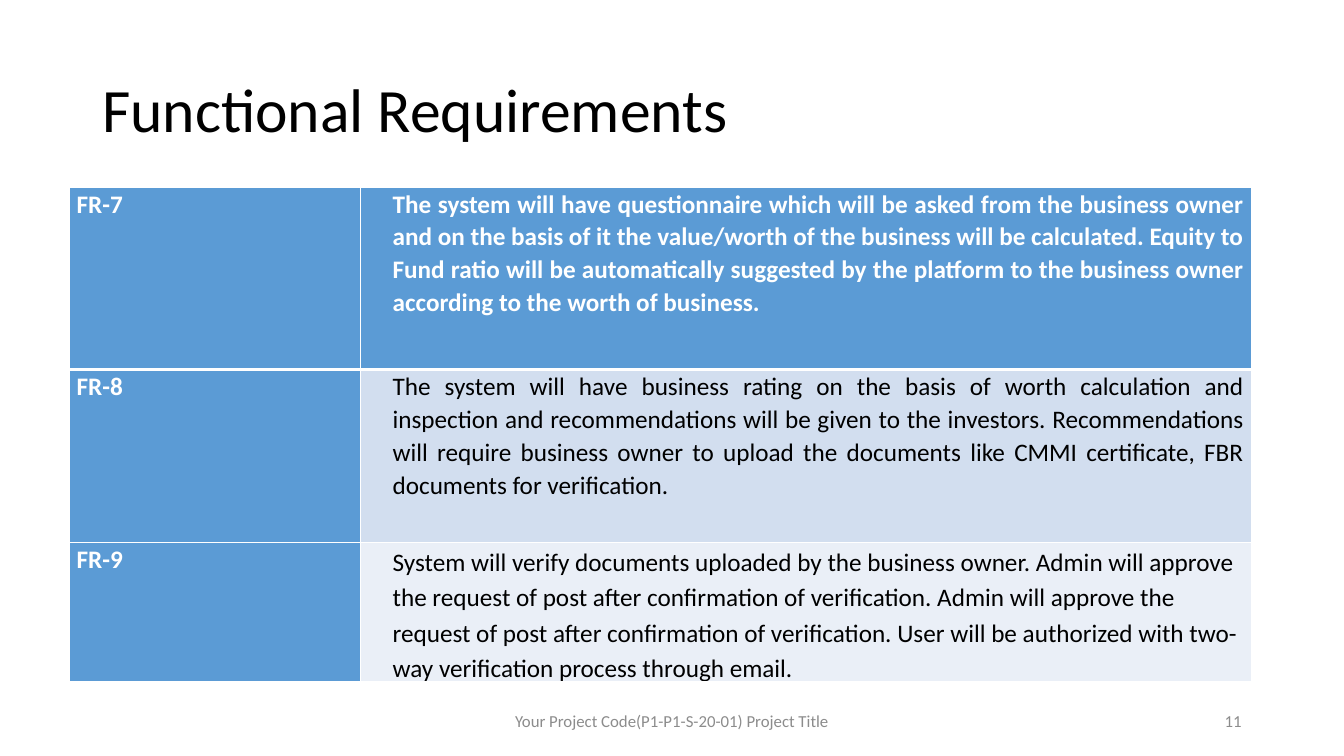
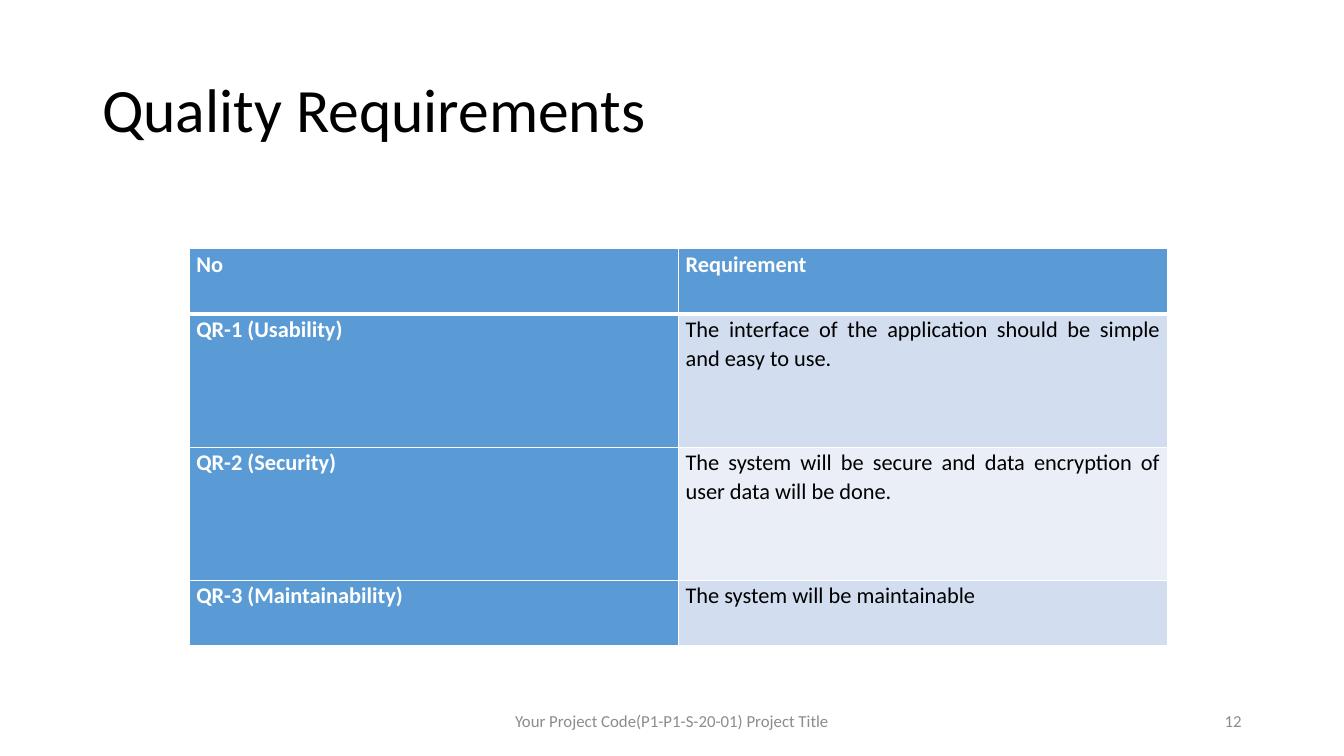
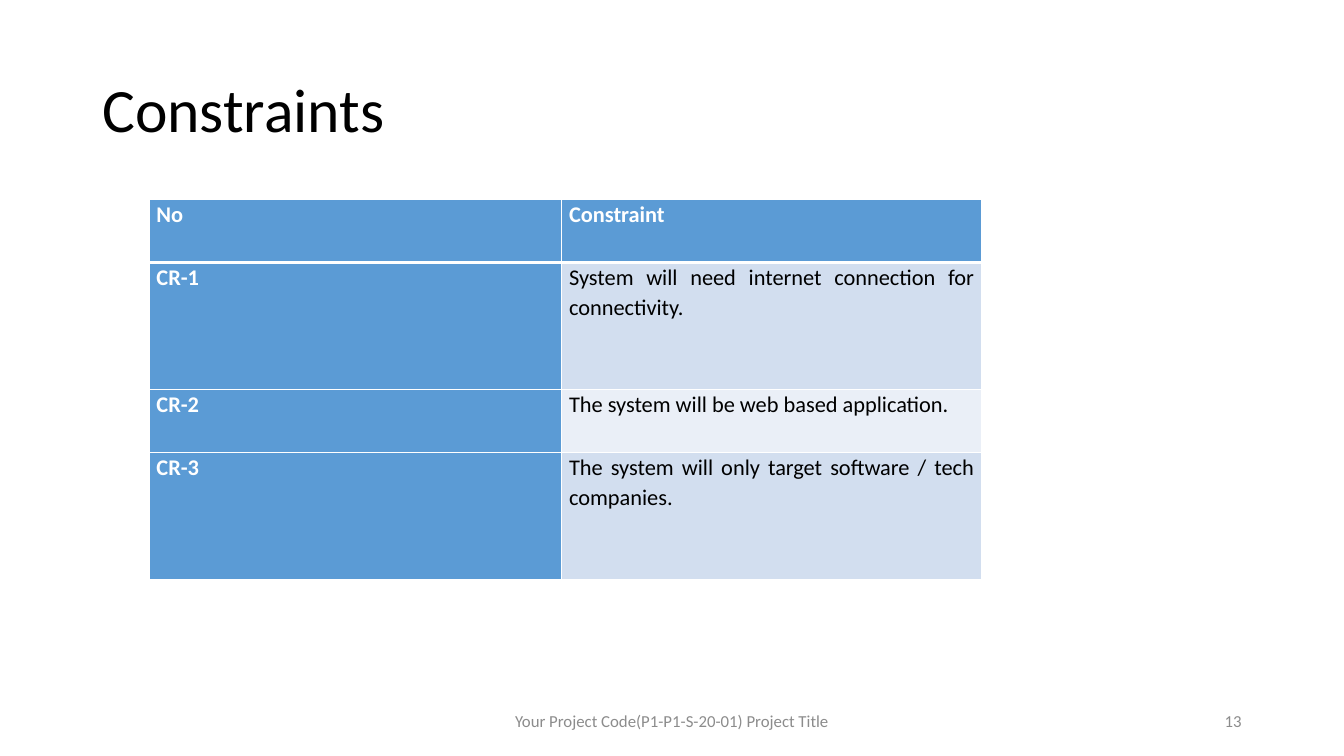
from lxml.etree import SubElement
from pptx import Presentation
from pptx.dml.color import RGBColor
from pptx.enum.text import MSO_ANCHOR, PP_ALIGN
from pptx.oxml.ns import qn
from pptx.util import Pt

EMU_PER_PX = 9525
FONT = "Calibri"
WHITE, BLACK, GREY, BLUE = "FFFFFF", "000000", "8C8C8C", "5B9BD5"
BANDS = ("D2DEEF", "EAEFF7")
FOOTER = "Your Project Code(P1-P1-S-20-01) Project Title"
TITLE_BOX = (88, 38, 1104, 139)
FOOTER_BOX = (424, 667, 432, 38)
NUMBER_BOX = (904, 667, 288, 38)
CELL_MARGIN = 7
TEXT_INDENT = 24

FUNCTIONAL_ROWS = [
    ("FR-7", "The system will have questionnaire which will be asked from the business owner "
             "and on the basis of it the value/worth of the business will be calculated. Equity "
             "to Fund ratio will be automatically suggested by the platform to the business "
             "owner according to the worth of business."),
    ("FR-8", "The system will have business rating on the basis of worth calculation and "
             "inspection and recommendations will be given to the investors. Recommendations "
             "will require business owner to upload the documents like CMMI certificate, FBR "
             "documents for verification."),
    ("FR-9", "System will verify documents uploaded by the business owner. Admin will approve "
             "the request of post after confirmation of verification. Admin will approve the "
             "request of post after confirmation of verification. User will be authorized with "
             "two-way verification process through email."),
]
QUALITY_ROWS = [
    ("No", "Requirement"),
    ("QR-1 (Usability)", "The interface of the application should be simple and easy to use."),
    ("QR-2 (Security)", "The system will be secure and data encryption of user data will be done."),
    ("QR-3 (Maintainability)", "The system will be maintainable"),
]
CONSTRAINT_ROWS = [
    ("No", "Constraint"),
    ("CR-1", "System will need internet connection for connectivity."),
    ("CR-2", "The system will be web based application."),
    ("CR-3", "The system will only target software / tech companies."),
]


def px(length):
    """Turn whole pixels into EMU."""
    return length * EMU_PER_PX


def color(value):
    """Turn a hex string into a colour."""
    return RGBColor.from_string(value)


def write(paragraph, text, size, ink, bold=False, align=PP_ALIGN.LEFT, spacing=1.0):
    """Add one styled run to a paragraph."""
    paragraph.alignment = align
    paragraph.line_spacing = spacing
    run = paragraph.add_run()
    run.text = text
    run.font.name = FONT
    run.font.size = Pt(size)
    run.font.bold = bold
    run.font.color.rgb = color(ink)


def add_text(slide, box, text, size, ink, **style):
    """Place a vertically centred line of text in a box."""
    frame = slide.shapes.add_textbox(*map(px, box)).text_frame
    frame.word_wrap = True
    frame.vertical_anchor = MSO_ANCHOR.MIDDLE
    write(frame.paragraphs[0], text, size, ink, **style)


def add_borders(cell, widths):
    """Draw white borders of the given point widths around a cell."""
    properties = cell._tc.get_or_add_tcPr()
    for side, width in zip("LRTB", widths):
        line = SubElement(properties, qn(f"a:ln{side}"), w=str(Pt(width)))
        fill = SubElement(line, qn("a:solidFill"))
        SubElement(fill, qn("a:srgbClr"), val=WHITE)


def add_requirements(slide, origin, columns, heights, rows, size, indent=0, last_loose=False):
    """Place a two-column table with a blue header row and first column."""
    frame = slide.shapes.add_table(
        len(rows), len(columns), *map(px, (*origin, sum(columns), sum(heights))))
    table = frame.table
    for column, width in zip(table.columns, columns):
        column.width = px(width)
    for index, (row, height, texts) in enumerate(zip(table.rows, heights, rows)):
        row.height = px(height)
        loose = last_loose and index == len(rows) - 1
        for position, (cell, text) in enumerate(zip(row.cells, texts)):
            strong = index == 0 or position == 0
            add_borders(cell, (1, 1, 3 if index == 1 else 1, 3 if index == 0 else 1))
            cell.fill.solid()
            cell.fill.fore_color.rgb = color(BLUE if strong else BANDS[(index - 1) % 2])
            cell.margin_left = px(CELL_MARGIN + indent * position)
            cell.margin_right = px(CELL_MARGIN)
            cell.margin_top = cell.margin_bottom = 0
            relaxed = loose and position == 1
            write(cell.text_frame.paragraphs[0], text, size, WHITE if strong else BLACK,
                  bold=strong, align=PP_ALIGN.LEFT if relaxed else PP_ALIGN.JUSTIFY,
                  spacing=1.15 if relaxed else 1.07)


def add_page(presentation, title, number):
    """Add a slide with its title, footer and number."""
    slide = presentation.slides.add_slide(presentation.slide_layouts[6])
    add_text(slide, TITLE_BOX, title, 44, BLACK, spacing=0.9)
    add_text(slide, FOOTER_BOX, FOOTER, 12, GREY, align=PP_ALIGN.CENTER)
    add_text(slide, NUMBER_BOX, str(number), 12, GREY, align=PP_ALIGN.RIGHT)
    return slide


def main():
    """Build the three slides and save them."""
    presentation = Presentation()
    presentation.slide_width, presentation.slide_height = px(1280), px(720)
    functional = add_page(presentation, "Functional Requirements", 11)
    add_requirements(functional, (66, 178), (277, 849), (174, 165, 132), FUNCTIONAL_ROWS, 18,
                     indent=TEXT_INDENT, last_loose=True)
    quality = add_page(presentation, "Quality Requirements", 12)
    add_requirements(quality, (180, 237), (466, 466), (62, 127, 127, 62), QUALITY_ROWS, 16)
    constraints = add_page(presentation, "Constraints", 13)
    add_requirements(constraints, (142, 190), (393, 400), (60, 121, 60, 121), CONSTRAINT_ROWS, 16)
    presentation.save("out.pptx")


if __name__ == "__main__":
    main()
